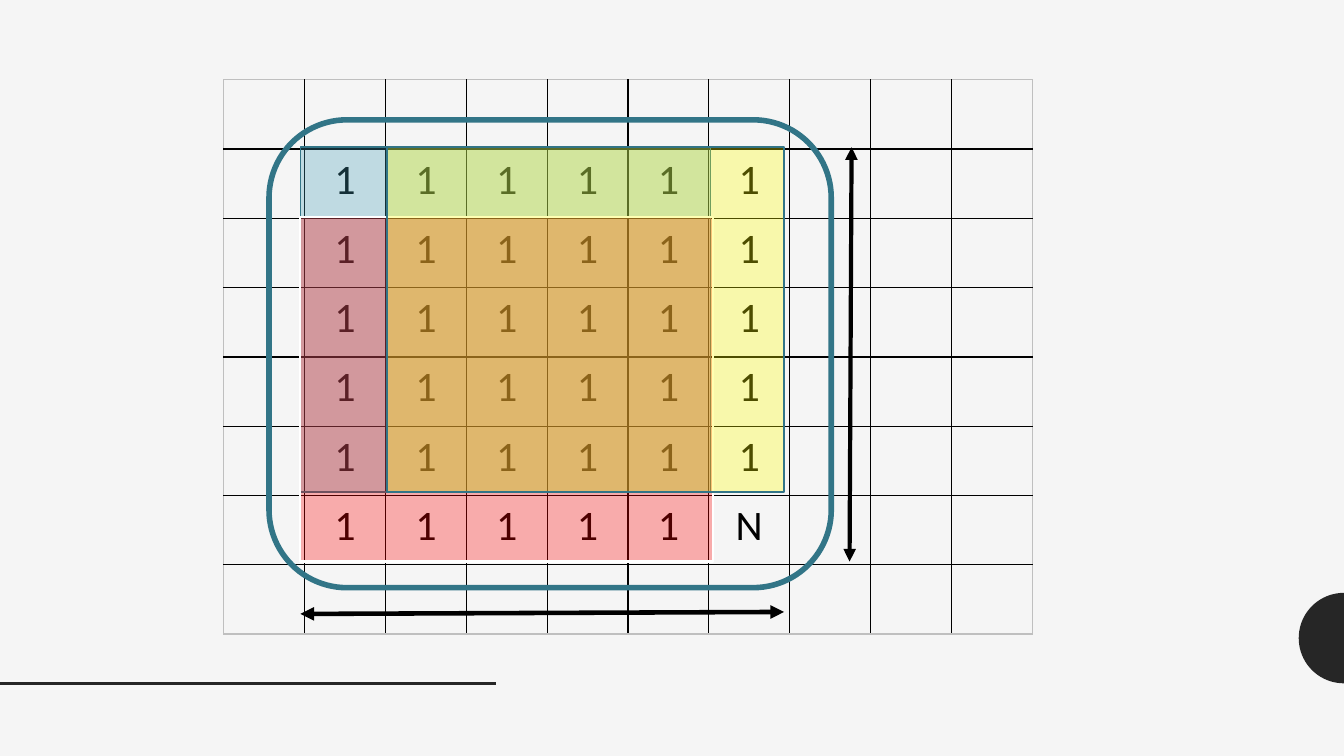
"""Build the slide of a number grid with overlapping tinted blocks."""
from math import cos, pi, sin

from lxml.etree import SubElement
from pptx import Presentation
from pptx.dml.color import RGBColor
from pptx.enum.shapes import MSO_CONNECTOR, MSO_SHAPE
from pptx.enum.text import PP_ALIGN
from pptx.oxml.ns import qn
from pptx.util import Cm, Pt

HUES = {
    "paper": "F5F5F5", "dark": "262626", "ink": "000000", "edge": "BFBFBF",
    "teal": "327587", "blue": "439EB7", "red": "FF0000",
    "yellow": "FFFF00", "white": "FFFFFF",
}
ROWS, COLS = 8, 10
SIZE = 6


def tint(name):
    """Return the named colour."""
    return RGBColor.from_string(HUES[name])


def apply(item, form):
    """Set each value of form on item."""
    for key, value in form.items():
        setattr(item, key, value)


def draw_line(slide, start, end, hue, width, heads=False):
    """Draw a straight line, with a triangle at both ends if heads is set."""
    points = [Cm(n) for n in (*start, *end)]
    line = slide.shapes.add_connector(MSO_CONNECTOR.STRAIGHT, *points)
    line.line.color.rgb = tint(hue)
    line.line.width = Pt(width)
    if heads:
        for tag in ("a:headEnd", "a:tailEnd"):
            SubElement(line.line._get_or_add_ln(), qn(tag), type="triangle")
    SubElement(line._element.spPr, qn("a:effectLst"))


def draw_block(slide, box, kind, fill, hue, width):
    """Draw an outlined shape, filled at 30 percent if a fill is named."""
    shape = slide.shapes.add_shape(kind, *[Cm(n) for n in box])
    shape.shadow.inherit = False
    if fill:
        shape.fill.solid()
        shape.fill.fore_color.rgb = tint(fill)
        shade = shape._element.spPr.find(".//" + qn("a:srgbClr"))
        SubElement(shade, qn("a:alpha"), val="30000")
    else:
        shape.fill.background()
    shape.line.color.rgb = tint(hue)
    shape.line.width = Pt(width)


def draw_decor(slide, box):
    """Draw the half disc at the right edge and the rule at the left."""
    left, top, width, height = box
    rad = 1.14
    mid = top + height - 2.97
    turns = [pi / 2 + pi * n / 40 for n in range(41)]
    points = [(Cm(left + width + rad * cos(t)), Cm(mid + rad * sin(t)))
              for t in turns]
    pen = slide.shapes.build_freeform(*points[0])
    pen.add_line_segments(points[1:], close=True)
    disc = pen.convert_to_shape()
    disc.shadow.inherit = False
    disc.fill.solid()
    disc.fill.fore_color.rgb = tint("dark")
    disc.line.fill.background()
    base = mid + rad
    draw_line(slide, (left, base), (left + 12.5, base), "dark", 2)


def rule_cell(cell, row, col):
    """Give a cell its four borders, paler on the rim of the grid."""
    props = cell._tc.get_or_add_tcPr()
    rims = {"L": col == 0, "R": col == COLS - 1,
            "T": row == 0, "B": row == ROWS - 1}
    for side, rim in rims.items():
        line = SubElement(props, qn("a:ln" + side), w=str(Pt(1)))
        fill = SubElement(line, qn("a:solidFill"))
        SubElement(fill, qn("a:srgbClr"), val=HUES["edge" if rim else "ink"])
    cell.fill.background()


def draw_grid(slide, box):
    """Draw the table with its square of ones ending in N."""
    frame = slide.shapes.add_table(ROWS, COLS, *[Cm(n) for n in box])
    table = frame.table
    apply(table, {"first_row": False, "horz_banding": False})
    for col in table.columns:
        col.width = Cm(box[2] / COLS)
    for row in table.rows:
        row.height = Cm(box[3] / ROWS)
    for row in range(ROWS):
        for col in range(COLS):
            cell = table.cell(row, col)
            rule_cell(cell, row, col)
            if 1 <= row <= SIZE and 1 <= col <= SIZE:
                para = cell.text_frame.paragraphs[0]
                para.alignment = PP_ALIGN.CENTER
                run = para.add_run()
                run.text = "N" if row == col == SIZE else "1"
                apply(run.font, {"name": "Calibri", "size": Pt(30)})
                run.font.color.rgb = tint("ink")


def draw_marks(slide, box):
    """Draw the arrows, the frame and the tinted blocks over the grid."""
    left, top = box[:2]
    arrows = [
        ((1.93, 13.46), (14.12, 13.41), 3.25),
        ((15.82, 1.7), (15.77, 12.14), 3),
    ]
    for start, end, width in arrows:
        ends = [(left + x, top + y) for x, y in (start, end)]
        draw_line(slide, *ends, "ink", width, heads=True)
    rect, tall = MSO_SHAPE.RECTANGLE, 8.69
    blocks = [
        (1.14, 1.01, 14.17, 11.79, MSO_SHAPE.ROUNDED_RECTANGLE, None, "teal", 4),
        (1.93, 1.7, 10.34, tall, rect, "blue", "teal", 1),
        (1.93, 3.45, 10.39, tall, rect, "red", "white", 1.5),
        (4.11, 1.7, 10.01, tall, rect, "yellow", "teal", 1),
    ]
    for x, y, wide, high, *style in blocks:
        draw_block(slide, (left + x, top + y, wide, high), *style)


def main():
    """Build and save the slide."""
    deck = Presentation()
    page = (0, 0, 33.87, 19.05)
    apply(deck, {"slide_width": Cm(page[2]), "slide_height": Cm(page[3])})
    slide = deck.slides.add_slide(deck.slide_layouts[6])
    slide.background.fill.solid()
    slide.background.fill.fore_color.rgb = tint("paper")
    grid = (5.64, 2.01, 20.37, 13.97)
    draw_decor(slide, page)
    draw_grid(slide, grid)
    draw_marks(slide, grid)
    deck.save("out.pptx")


if __name__ == "__main__":
    main()
